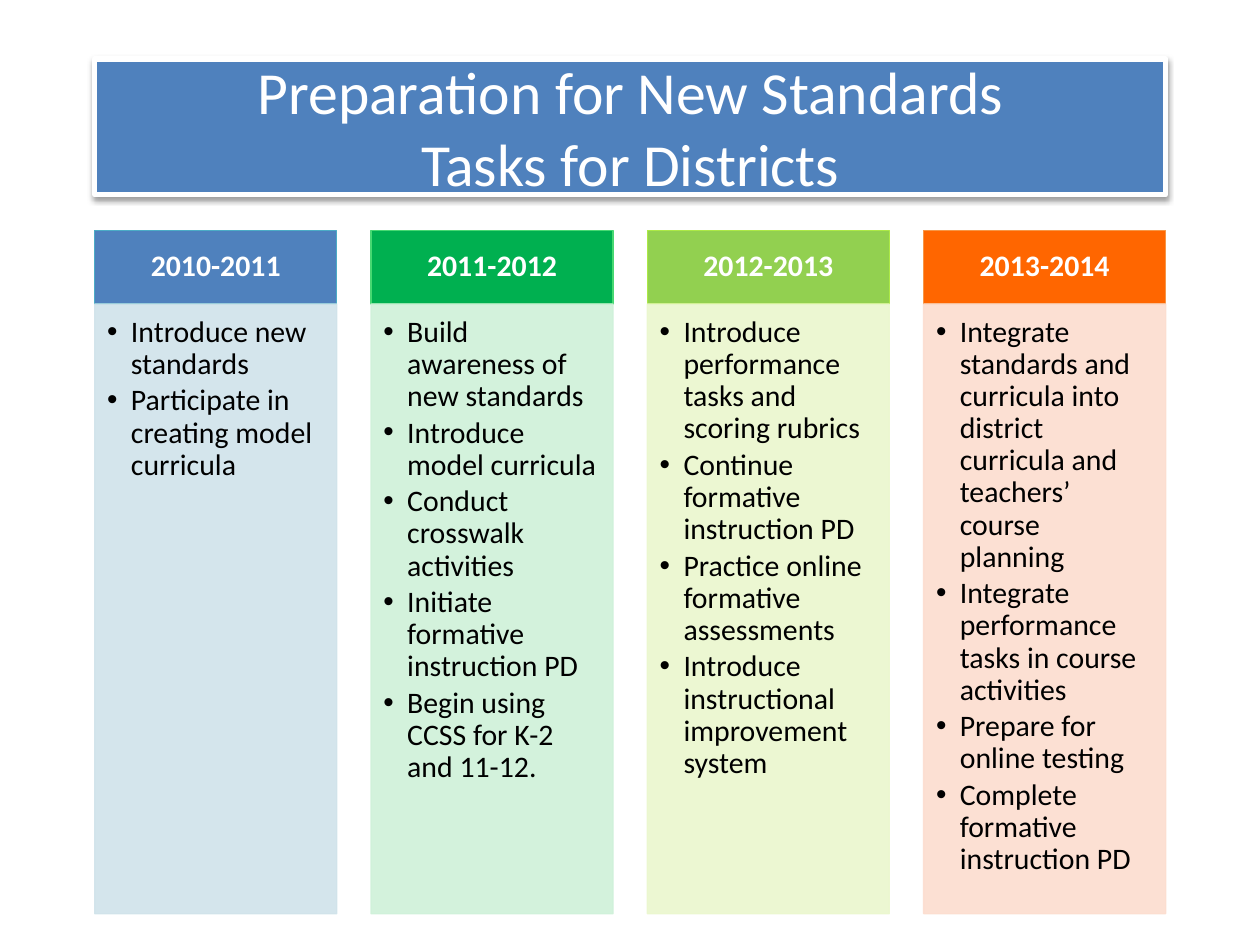
from lxml import etree
from pptx import Presentation
from pptx import util as u
from pptx.dml.color import RGBColor
from pptx.enum import shapes, text
from pptx.oxml import ns

Cm, Pt = u.Cm, u.Pt


def rgb(code):
    return RGBColor.from_string(code)


def sub(node, tag, **attrs):
    return etree.SubElement(node, ns.qn(tag), attrs)


class Deck:
    font = "Calibri"
    size = 17

    def __init__(self, wide, high):
        self.prs = Presentation()
        self.prs.slide_width, self.prs.slide_height = Cm(wide), Cm(high)
        self.slide = self.prs.slides.add_slide(self.prs.slide_layouts[6])

    def box(self, place, fill, line, width=0.75):
        shape = self.slide.shapes.add_shape(
            shapes.MSO_SHAPE.RECTANGLE, *[Cm(n) for n in place])
        shape.shadow.inherit = False
        shape.fill.solid()
        shape.fill.fore_color.rgb = rgb(fill)
        shape.line.color.rgb = rgb(line)
        shape.line.width = Pt(width)
        return shape

    def label(self, shape, lines, color, size, align, bold=False):
        frame = shape.text_frame
        frame.word_wrap = True
        frame.text = "\n".join(lines)
        for par in frame.paragraphs:
            par.alignment = align
            for run in par.runs:
                run.font.name = self.font
                run.font.size = Pt(size)
                run.font.bold = bold
                run.font.color.rgb = rgb(color)
        return frame

    def inset(self, frame, left, top, right, base):
        frame.margin_left, frame.margin_top = Cm(left), Cm(top)
        frame.margin_right, frame.margin_bottom = Cm(right), Cm(base)

    def title(self, place, lines):
        shape = self.box(place, "4F81BD", "FFFFFF", 3)
        glow = sub(shape.element.spPr.find(ns.qn("a:effectLst")),
                   "a:outerShdw", blurRad=str(Pt(3.1)), dist=str(Pt(1.6)),
                   dir="5400000", rotWithShape="0")
        sub(sub(glow, "a:srgbClr", val="000000"), "a:alpha", val="38000")
        frame = self.label(shape, lines, "FFFFFF", 34.1, text.PP_ALIGN.CENTER)
        frame.vertical_anchor = text.MSO_ANCHOR.MIDDLE

    def head(self, place, year, fill, line):
        shape = self.box(place, fill, line)
        frame = self.label(shape, [year], "FFFFFF", self.size,
                           text.PP_ALIGN.CENTER, True)
        frame.vertical_anchor = text.MSO_ANCHOR.MIDDLE
        frame.paragraphs[0].line_spacing = 0.9
        self.inset(frame, 0.33, 0.2, 0.33, 0.2)

    def panel(self, place, tasks, tint):
        shape = self.box(place, tint, tint)
        for color in shape.element.spPr.iter(ns.qn("a:srgbClr")):
            sub(color, "a:alpha", val="90000")
        frame = self.label(shape, tasks, "000000", self.size,
                           text.PP_ALIGN.LEFT)
        frame.vertical_anchor = text.MSO_ANCHOR.TOP
        self.inset(frame, 0.25, 0.25, 0.33, 0.38)
        for par in frame.paragraphs:
            par.level = 1
            par.line_spacing = 0.9
            par.space_after = Pt(2.55)
            props = par._p.get_or_add_pPr()
            props.set("marL", str(Cm(0.48)))
            props.set("indent", str(-Cm(0.48)))
            sub(props, "a:buFont", typeface="Arial")
            sub(props, "a:buChar", char="•")


# Year, head fill, head line, panel tint, tasks
YEARS = [
    ("2010-2011", "4F81BD", "4BACC6", "D0E3EA", [
        "Introduce new standards",
        "Participate in creating model curricula"]),
    ("2011-2012", "00B050", "47D872", "CFF1D9", [
        "Build awareness of new standards",
        "Introduce model curricula",
        "Conduct crosswalk activities",
        "Initiate formative instruction PD",
        "Begin using CCSS for K-2 and 11-12."]),
    ("2012-2013", "92D050", "ACE946", "EBF7CE", [
        "Introduce performance tasks and scoring rubrics",
        "Continue formative instruction PD",
        "Practice online formative assessments",
        "Introduce instructional improvement system"]),
    ("2013-2014", "FF6600", "F79646", "FCDDCF", [
        "Integrate standards and curricula into district curricula "
        "and teachers’ course planning",
        "Integrate performance tasks in course activities",
        "Prepare for online testing",
        "Complete formative instruction PD"]),
]
LEFT, STEP, WIDE = 1.91, 5.57, 4.88


def main():
    deck = Deck(25.4, 19.05)

    # Year columns
    for i, (year, fill, line, tint, tasks) in enumerate(YEARS):
        x = LEFT + i * STEP
        deck.head((x, 4.65, WIDE, 1.48), year, fill, line)
        deck.panel((x, 6.13, WIDE, 12.29), tasks, tint)

    # Title banner
    deck.title((LEFT, 1.19, 21.59, 2.74),
               ["Preparation for New Standards", "Tasks for Districts"])

    deck.prs.save("out.pptx")


if __name__ == "__main__":
    main()
